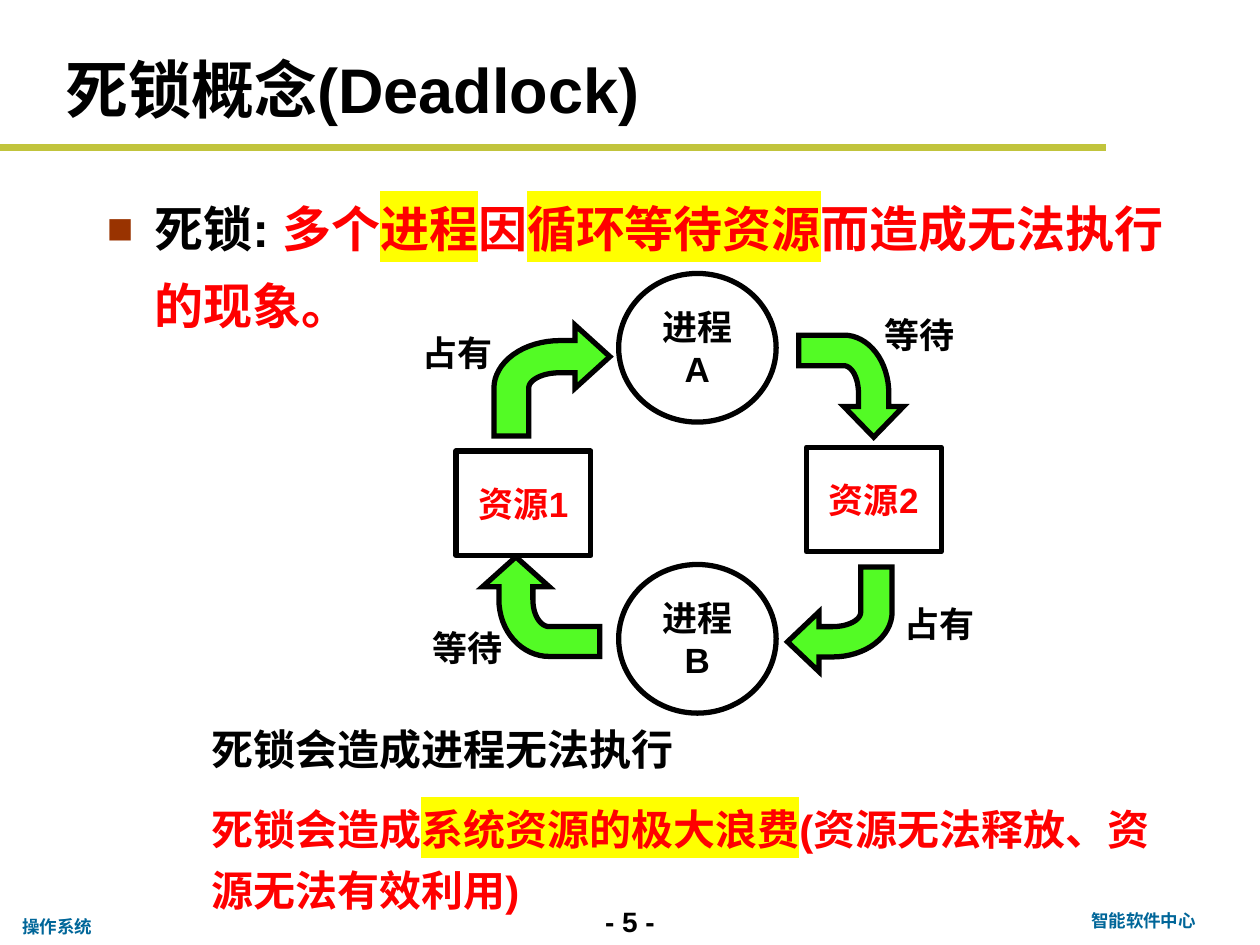
import math

import lxml.etree
import pptx
import pptx.dml.color
import pptx.enum.shapes
import pptx.enum.text
import pptx.oxml.ns
import pptx.util

Inches = pptx.util.Inches
Pt = pptx.util.Pt
SHAPE = pptx.enum.shapes.MSO_SHAPE
ALIGN = pptx.enum.text.PP_ALIGN
ANCHOR = pptx.enum.text.MSO_ANCHOR

BLACK, WHITE, RED, YELLOW = "000000", "FFFFFF", "FF0000", "FFFF00"
GREEN, OLIVE, BROWN, BLUE = "53FB25", "C1C43C", "993300", "006699"


def color(value):
    return pptx.dml.color.RGBColor.from_string(value)


def add_element(parent, tag, **attributes):
    return lxml.etree.SubElement(parent, pptx.oxml.ns.qn(tag), attributes)


def add_span(para, text, size, ink=BLACK, highlight=None):
    span = para.add_run()
    span.text = text
    span.font.name = "Arial"
    span.font.size = Pt(size)
    span.font.bold = True
    span.font.color.rgb = color(ink)
    if highlight:
        mark = lxml.etree.Element(pptx.oxml.ns.qn("a:highlight"))
        add_element(mark, "a:srgbClr", val=highlight)
        span.font.fill  # the highlight has to follow the solid fill
        span._r.rPr.find(pptx.oxml.ns.qn("a:solidFill")).addnext(mark)


def add_text(page, area, spans, size, align=ALIGN.LEFT, wrap=True):
    """Add a one-paragraph box; spans holds (text, ink, highlight)."""
    box = page.shapes.add_textbox(*map(Inches, area))
    box.text_frame.word_wrap = wrap
    para = box.text_frame.paragraphs[0]
    para.alignment = align
    for text, ink, highlight in spans:
        add_span(para, text, size, ink, highlight)
    return para


def style_shape(shape, fill):
    shape.shadow.inherit = False
    shape.fill.solid()
    shape.fill.fore_color.rgb = color(fill)
    shape.line.color.rgb = color(BLACK)
    shape.line.width = Pt(3)


def add_node(page, kind, area, lines, ink):
    node = page.shapes.add_shape(kind, *map(Inches, area))
    style_shape(node, WHITE)
    frame = node.text_frame
    frame.word_wrap = False
    frame.vertical_anchor = ANCHOR.MIDDLE
    for index, line in enumerate(lines):
        para = frame.add_paragraph() if index else frame.paragraphs[0]
        para.alignment = ALIGN.CENTER
        add_span(para, line, 20, ink)


def quarter_arc(radius_x, radius_y, steps=16):
    """Points from the left end to the top of an arc around the bend."""
    angles = [math.pi / 2 * step / steps for step in range(steps + 1)]
    return [(0.57 - radius_x * math.cos(a), 0.57 - radius_y * math.sin(a))
            for a in angles]


def add_bent_arrow(page, area, rotation):
    """Draw an arrow that rises and bends right, then rotate it."""
    left, top, width, height = area
    outline = [(0, 1), *quarter_arc(0.57, 0.43), (0.7, 0.14), (0.7, 0),
               (1, 0.285), (0.7, 0.57), (0.7, 0.43),
               *reversed(quarter_arc(0.27, 0.14)), (0.3, 1)]
    points = [(Inches(left + x * width), Inches(top + y * height))
              for x, y in outline]
    builder = page.shapes.build_freeform(*points[0])
    builder.add_line_segments(points[1:])
    arrow = builder.convert_to_shape()
    style_shape(arrow, GREEN)
    add_element(arrow.line._get_or_add_ln(), "a:miter", lim="800000")
    arrow.rotation = rotation


def add_title(page, area):
    title = page.shapes.title
    title.left, title.top, title.width, title.height = map(Inches, area)
    title.text_frame.vertical_anchor = ANCHOR.MIDDLE
    para = title.text_frame.paragraphs[0]
    para.alignment = ALIGN.LEFT
    add_span(para, "死锁概念(Deadlock)", 36)


def add_title_rule(page, width, y):
    rule = page.shapes.add_connector(
        pptx.enum.shapes.MSO_CONNECTOR.STRAIGHT,
        0, Inches(y), Inches(width), Inches(y))
    rule.line.color.rgb = color(OLIVE)
    rule.line.width = Pt(4)
    add_element(rule._element.spPr, "a:effectLst")


def add_footer(page):
    add_text(page, (4.5, 7.13, 1, 0.37), [("- 5 -", BLACK, None)], 16, ALIGN.CENTER)
    add_text(page, (8.25, 7.17, 1.65, 0.27), [("智能软件中心", BLUE, None)], 10,
             ALIGN.CENTER)
    add_text(page, (0.08, 7.22, 0.8, 0.27), [("操作系统", BLUE, None)], 10, wrap=False)


def add_definition(page, area):
    para = add_text(page, area, [
        ("死锁: ", BLACK, None), ("多个", RED, None), ("进程", RED, YELLOW),
        ("因", RED, None), ("循环等待资源", RED, YELLOW),
        ("而造成无法执行的现象。", RED, None)], 28)
    para.line_spacing = 1.3
    properties = para._p.get_or_add_pPr()
    properties.set("marL", str(Inches(0.38)))
    properties.set("indent", str(-Inches(0.38)))
    add_element(add_element(properties, "a:buClr"), "a:srgbClr", val=BROWN)
    add_element(properties, "a:buSzPct", val="90000")
    add_element(properties, "a:buFont", typeface="Arial")
    add_element(properties, "a:buChar", char="■")


def add_cycle(page):
    for left, top, name in ((6.4, 3.55, "资源2"), (3.62, 3.58, "资源1")):
        add_node(page, SHAPE.RECTANGLE, (left, top, 1.07, 0.83), [name], RED)
    for top, name in ((4.48, "B"), (2.17, "A")):
        add_node(page, SHAPE.OVAL, (4.91, top, 1.25, 1.18), ["进程", name], BLACK)
    arrows = ((3.92, 2.58, 0.92, 0.88), (6.35, 2.65, 0.81, 0.83),
              (6.25, 4.5, 0.83, 0.83), (3.9, 4.35, 0.79, 0.93))
    for turn, area in enumerate(arrows):
        add_bent_arrow(page, area, 90 * turn)
    labels = ((6.92, 2.44, "等待"), (3.33, 4.92, "等待"),
              (7.08, 4.73, "占有"), (3.25, 2.58, "占有"))
    for left, top, text in labels:
        add_text(page, (left, top, 0.76, 0.44), [(text, BLACK, None)], 20,
                 ALIGN.CENTER, wrap=False)


def add_consequence(page, area, spans):
    para = add_text(page, area, spans, 24)
    para.level = 1
    para.line_spacing = 1.2
    properties = para._p.get_or_add_pPr()
    properties.set("marL", str(Inches(0.5)))
    properties.set("indent", "0")


def main():
    deck = pptx.Presentation()
    deck.slide_width, deck.slide_height = Inches(10), Inches(7.5)
    page = deck.slides.add_slide(deck.slide_layouts.get_by_name("Title Only"))
    add_footer(page)
    add_title_rule(page, 8.78, 1.17)
    add_title(page, (0.42, 0.33, 8.58, 0.74))
    add_definition(page, (0.75, 1.39, 8.66, 0.95))
    add_cycle(page)
    add_consequence(page, (1.08, 5.61, 8.33, 0.58),
                    [("死锁会造成进程无法执行", BLACK, None)])
    add_consequence(page, (1.08, 6.25, 8.33, 1.02), [
        ("死锁会造成", RED, None), ("系统资源的极大浪费", RED, YELLOW),
        ("(资源无法释放、资源无法有效利用)", RED, None)])
    deck.save("out.pptx")


if __name__ == "__main__":
    main()
